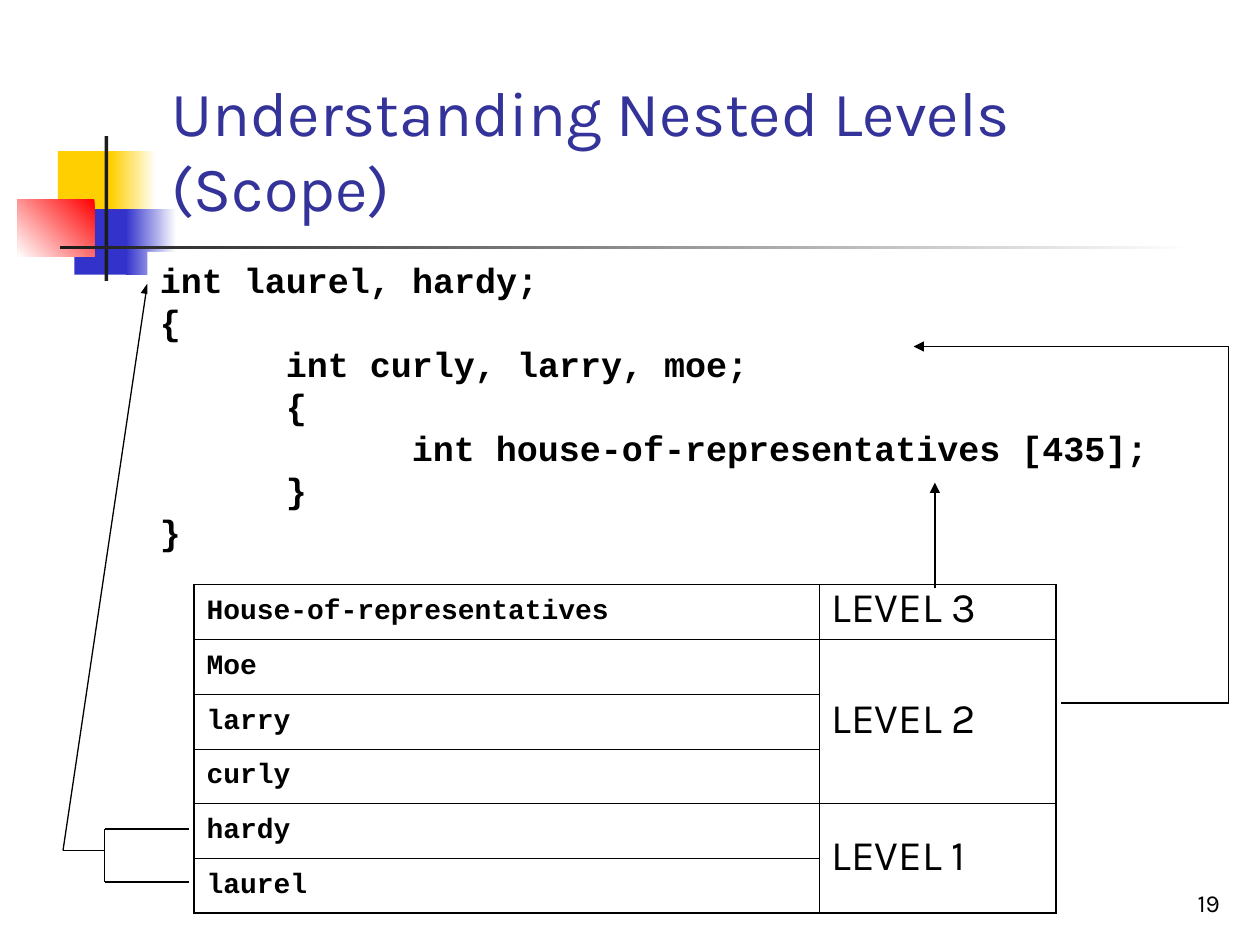
from lxml.etree import SubElement
from pptx import Presentation
from pptx.dml.color import RGBColor
from pptx.enum.shapes import MSO_CONNECTOR, MSO_SHAPE
from pptx.enum.text import MSO_ANCHOR, MSO_AUTO_SIZE, PP_ALIGN
from pptx.oxml.ns import qn
from pptx.util import Inches, Pt

BLACK = RGBColor(0x00, 0x00, 0x00)
WHITE = RGBColor(0xFF, 0xFF, 0xFF)
GOLD = RGBColor(0xFF, 0xCF, 0x01)
BLUE = RGBColor(0x33, 0x33, 0xCC)
RED = RGBColor(0xFF, 0x00, 0x00)
DARK = RGBColor(0x1C, 0x1C, 0x1C)
NAVY = RGBColor(0x33, 0x33, 0x99)
SANS = "Karla"
MONO = "Courier New"
THICK, THIN = 1.08, 0.45


class Deck:
    """Holds the slide and draws each kind of element in one style."""

    def __init__(self):
        self.prs = Presentation()
        self.prs.slide_width = Inches(10)
        self.prs.slide_height = Inches(7.5)
        self.slide = self.prs.slides.add_slide(self.prs.slide_layouts[5])
        self.shapes = self.slide.shapes

    def style(self, frame, font, size, color=BLACK, bold=False, align=PP_ALIGN.LEFT):
        for para in frame.paragraphs:
            para.alignment = align
            for run in para.runs:
                run.font.name = font
                run.font.size = Pt(size)
                run.font.bold = bold
                run.font.color.rgb = color

    def title(self, text, box):
        shape = self.shapes.title
        shape.left, shape.top, shape.width, shape.height = map(Inches, box)
        frame = shape.text_frame
        frame.text = text
        frame.word_wrap = True
        frame.auto_size = MSO_AUTO_SIZE.NONE
        frame.vertical_anchor = MSO_ANCHOR.BOTTOM
        self.style(frame, SANS, 36, NAVY)

    def rect(self, box, color, fade=None, angle=180):
        shape = self.shapes.add_shape(MSO_SHAPE.RECTANGLE, *map(Inches, box))
        shape.shadow.inherit = False
        shape.line.fill.background()
        if fade is None:
            shape.fill.solid()
            shape.fill.fore_color.rgb = color
        else:
            shape.fill.gradient()
            shape.fill.gradient_angle = angle
            for stop, tone in zip(shape.fill.gradient_stops, (color, fade)):
                stop.color.rgb = tone
        return shape

    def code(self, text, box):
        frame = self.rect(box, WHITE).text_frame
        frame.text = text
        frame.word_wrap = True
        frame.vertical_anchor = MSO_ANCHOR.TOP
        for para in frame.paragraphs:
            tabs = SubElement(para._p.get_or_add_pPr(), qn("a:tabLst"))
            for stop in range(1, 8):
                SubElement(tabs, qn("a:tab"), pos=str(Inches(stop)), algn="l")
        self.style(frame, MONO, 20, bold=True)

    def label(self, text, box):
        frame = self.shapes.add_textbox(*map(Inches, box)).text_frame
        frame.text = text
        frame.word_wrap = True
        frame.vertical_anchor = MSO_ANCHOR.BOTTOM
        self.style(frame, SANS, 14, align=PP_ALIGN.RIGHT)

    def line(self, start, end, arrow=False):
        ends = map(Inches, (*start, *end))
        link = self.shapes.add_connector(MSO_CONNECTOR.STRAIGHT, *ends)
        link.line.color.rgb = BLACK
        link.line.width = Pt(0.75)
        if arrow:
            SubElement(link.line._get_or_add_ln(), qn("a:tailEnd"), type="triangle")
        SubElement(link._element.spPr, qn("a:effectLst"))

    def border(self, cell, sides):
        props = cell._tc.get_or_add_tcPr()
        for side, outer in zip("LRTB", sides):
            width = Pt(THICK if outer else THIN)
            edge = SubElement(props, qn(f"a:ln{side}"), w=str(width))
            fill = SubElement(edge, qn("a:solidFill"))
            SubElement(fill, qn("a:srgbClr"), val=str(BLACK))

    def stack(self, names, levels, box, widths):
        rows = len(names)
        table = self.shapes.add_table(rows, 2, *map(Inches, box)).table
        table.first_row = table.horz_banding = False
        for col, width in zip(table.columns, widths):
            col.width = Inches(width)
        for row in table.rows:
            row.height = Inches(box[3] / rows)
        for row, name in enumerate(names):
            self.cell(table.cell(row, 0), name, MONO, 16, True)
        row = 0
        for name, span in levels:
            cell = table.cell(row, 1)
            if span > 1:
                cell.merge(table.cell(row + span - 1, 1))
            self.cell(cell, name, SANS, 24)
            row += span
        table.cell(0, 1).vertical_anchor = MSO_ANCHOR.TOP
        for row in range(rows):
            for col in range(2):
                cell = table.cell(row, col)
                last = row + (cell.span_height if cell.is_merge_origin else 1)
                self.border(cell, (col == 0, col == 1, row == 0, last == rows))
                cell.fill.background()

    def cell(self, cell, text, font, size, bold=False):
        cell.text = text
        cell.vertical_anchor = MSO_ANCHOR.MIDDLE
        cell.text_frame.paragraphs[0].line_spacing = 0.8
        self.style(cell.text_frame, font, size, bold=bold)


def main():
    deck = Deck()

    # Corner blocks and rules
    deck.rect((0.46, 1.2, 0.48, 0.52), GOLD)
    deck.rect((0.88, 1.2, 0.36, 0.52), WHITE, GOLD)
    deck.rect((0.59, 1.66, 0.46, 0.52), BLUE)
    deck.rect((1, 1.66, 0.4, 0.52), WHITE, BLUE)
    deck.rect((0.14, 1.58, 0.61, 0.46), RED, WHITE, 225)
    deck.rect((0.83, 1.08, 0.03, 1.15), DARK)
    deck.rect((0.48, 1.95, 9, 0.03), WHITE, DARK)

    deck.title("Understanding Nested Levels (Scope)", (1.26, 1.08, 8.52, 0.75))

    # Stack of names by level
    deck.stack(
        ("House-of-representatives", "Moe", "larry", "curly", "hardy", "laurel"),
        (("LEVEL 3", 1), ("LEVEL 2", 3), ("LEVEL 1", 2)),
        (1.54, 4.64, 6.85, 2.61),
        (4.96, 1.88),
    )

    # Level 1 bracket and arrow
    deck.line((0.5, 6.75), (1.17, 2.25), arrow=True)
    deck.line((0.83, 7), (0.83, 6.58))
    deck.line((0.83, 6.75), (0.5, 6.75))
    for y in (7, 6.58):
        deck.line((1.5, y), (0.83, y))

    # Code
    deck.code(
        "int laurel, hardy;\n{\n\tint curly, larry, moe;\n\t{\n"
        "\t\tint house-of-representatives [435];\n\t}\n}",
        (1.17, 2, 8.17, 2.44),
    )

    # Level 2 and level 3 arrows
    deck.line((8.42, 5.58), (9.75, 5.58))
    deck.line((9.75, 2.75), (7.25, 2.75), arrow=True)
    deck.line((9.75, 5.58), (9.75, 2.75))
    deck.line((7.42, 4.67), (7.42, 3.83), arrow=True)

    # Page number
    deck.label("19", (7.7, 6.83, 2.08, 0.5))

    deck.prs.save("out.pptx")


if __name__ == "__main__":
    main()
